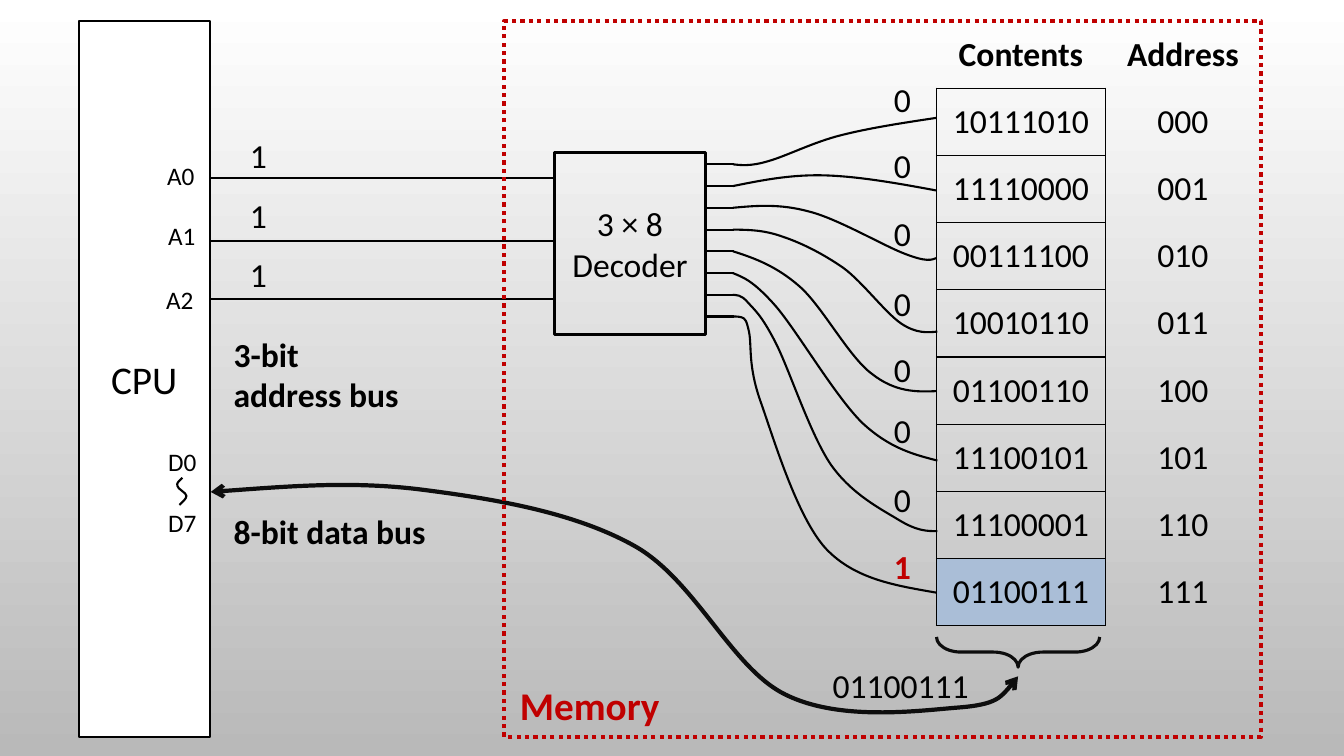
"""Build a slide on how a CPU reads a memory cell through a decoder."""
import pptx
import pptx.util
import pptx.dml.color
import pptx.enum.dml
import pptx.enum.shapes
import pptx.enum.text
import pptx.oxml.ns
from lxml import etree

Pt = pptx.util.Pt
qn = pptx.oxml.ns.qn
KIND = pptx.enum.shapes.MSO_SHAPE
ALIGN = pptx.enum.text.PP_ALIGN
ANCHOR = pptx.enum.text.MSO_ANCHOR

HUES = {"black": "000000", "ink": "0D0D0D", "red": "C00000", "white": "FFFFFF",
        "gray": "B9B9B9", "blue": "AABED7"}
HEADS = ("Contents", "Address")
CELLS = ("10111010", "11110000", "00111100", "10010110",
         "01100110", "11100101", "11100001", "01100111")
BITS = ((52.6, "0"), (100.1, "0"), (148.3, "0"), (198.7, "0"),
        (245.5, "0"), (289.4, "0"), (338.4, "0"), (386.6, "1"))
PINS = (("A0", 112.3, 110.9, 127.4), ("A1", 113, 154.1, 172.1), ("A2", 111.6, 199.4, 213.8))
WIRES = (
    ((529, 118), (536, 119), (548.6, 115.2), (561.6, 111.6), (581, 101.5), (601.2, 96.5),
     (621.4, 91.4), (645, 87.8), (669, 84.2)),
    ((543.6, 128.9), (564.5, 124.6), (589, 125.3), (613.4, 126), (641.5, 131), (669, 136.1)),
    ((540, 146.9), (557.3, 145.4), (578.2, 151.2), (598.3, 156.2), (631.4, 175.7),
     (646.6, 181.4), (661.7, 187.2), (665.3, 185.8), (669, 184.3)),
    ((535, 164.2), (545.8, 164.2), (559.4, 169.2), (572.4, 173.5), (588.2, 181.4),
     (602.6, 191.5), (616.3, 201.6), (632.2, 223.2), (643.7, 231.1), (654.5, 238.3),
     (662.4, 237.6), (669.6, 236.9)),
    ((538.6, 184.3), (554.4, 190), (571, 204.5), (587.5, 218.9), (606.2, 254.9),
     (622.8, 267.1), (639.4, 280.1), (654.5, 280.1), (669, 279.4)),
    ((530.6, 198), (537.8, 200.2), (553.7, 218.2), (568.8, 235.4), (596.9, 283.7),
     (616.3, 302.4), (635.8, 320.4), (653, 324.7), (669.6, 329)),
    ((526.3, 211), (529.2, 210.2), (534.2, 216), (539.3, 221.8), (543.6, 224.6),
     (553.7, 244.1), (563.8, 263.5), (578.9, 311), (594, 332.6), (609.1, 353.5),
     (629.3, 363.6), (642.2, 371.5), (655.2, 379.4), (662.4, 379.4), (669.6, 379.4)),
    ((526.3, 226.1), (529.2, 226.1), (531.4, 227.5), (532.8, 229.7), (532.8, 227.5),
     (535, 236.9), (537.1, 247), (534.2, 260.6), (542.9, 285.8), (552.2, 311.8),
     (568.8, 368.6), (589.7, 391.7), (610.6, 414), (640.1, 418.3), (669, 423.4)),
)
BUS = ((727.2, 483.1), (720, 493.2), (712.1, 503.3), (684.7, 505.4), (656.6, 507.6),
       (599.8, 515.5), (560.9, 496.1), (522.7, 477.4), (496.8, 414.7), (453.6, 390.2),
       (410.4, 365.8), (352.8, 356.4), (302.4, 349.9), (252, 343.4), (200.9, 347.8),
       (150.5, 351.4))
WAVE = ((130.3, 341.3), (128.2, 343.4), (126, 344.9), (126.7, 347), (126.7, 349.2),
        (133.2, 352.1), (133.2, 354.2), (133.2, 356.4), (130.3, 358.6), (128.2, 360.7))


def tint(name):
    return pptx.dml.color.RGBColor.from_string(HUES[name])


def write(frame, text, size=24, hue="black", bold=False, align=ALIGN.LEFT, gap=0):
    for row, line in enumerate(text.split("\n")):
        para = frame.paragraphs[0] if row == 0 else frame.add_paragraph()
        para.alignment = align
        if row and gap:
            para.space_before = Pt(gap)
        run = para.add_run()
        run.text = line
        font = run.font
        font.name, font.size, font.bold = "Calibri", Pt(size), bold
        font.color.rgb = tint(hue)


def label(text, x, y, w, h, **form):
    frame = shapes.add_textbox(Pt(x), Pt(y), Pt(w), Pt(h)).text_frame
    frame.word_wrap = False
    frame.auto_size = pptx.enum.text.MSO_AUTO_SIZE.SHAPE_TO_FIT_TEXT
    write(frame, text, **form)


def stroke(item, width, hue="black"):
    item.line.color.rgb = tint(hue)
    item.line.width = Pt(width)


def block(kind, x, y, w, h, width, hue="black", fill=None):
    item = shapes.add_shape(kind, Pt(x), Pt(y), Pt(w), Pt(h))
    item.shadow.inherit = False
    if fill:
        item.fill.solid()
        item.fill.fore_color.rgb = tint(fill)
    else:
        item.fill.background()
    stroke(item, width, hue)
    item.text_frame.vertical_anchor = ANCHOR.MIDDLE
    return item


def wire(x, end, y):
    item = shapes.add_connector(pptx.enum.shapes.MSO_CONNECTOR.STRAIGHT,
                                Pt(x), Pt(y), Pt(end), Pt(y))
    stroke(item, 1.5)
    etree.SubElement(item._element.spPr, qn("a:effectLst"))


def curve(spots, width=1.5, hue="black"):
    spots = [(Pt(x), Pt(y)) for x, y in spots]
    pen = shapes.build_freeform(*spots[0], scale=1.0)
    pen.add_line_segments(spots[1:], close=False)
    item = pen.convert_to_shape()
    item.shadow.inherit = False
    item.fill.background()
    stroke(item, width, hue)
    lines = item._element.xpath(".//a:lnTo")
    for first in range(0, len(lines), 3):
        bend = lines[first].makeelement(qn("a:cubicBezTo"))
        lines[first].addprevious(bend)
        for line in lines[first:first + 3]:
            bend.append(line[0])
            line.getparent().remove(line)
    return item


def edge(cell, sides):
    props = cell._tc.get_or_add_tcPr()
    for spot, side in enumerate("LRTB"):
        line = props.makeelement(qn("a:ln" + side), {"w": str(Pt(1))})
        props.insert(spot, line)
        if side in sides:
            fill = etree.SubElement(line, qn("a:solidFill"))
            etree.SubElement(fill, qn("a:srgbClr"), val=HUES["black"])
        else:
            etree.SubElement(line, qn("a:noFill"))


def grid():
    rows = [HEADS] + [(bits, f"{spot:03b}") for spot, bits in enumerate(CELLS)]
    table = shapes.add_table(len(rows), 2, Pt(668.9), Pt(15.1), Pt(231.4), Pt(432)).table
    table.first_row = table.horz_banding = False
    table.columns[0].width, table.columns[1].width = Pt(120.7), Pt(110.7)
    for r, row in enumerate(rows):
        table.rows[r].height = Pt(48)
        for c, text in enumerate(row):
            cell = table.cell(r, c)
            cell.vertical_anchor = ANCHOR.MIDDLE
            if text == CELLS[-1]:
                cell.fill.solid()
                cell.fill.fore_color.rgb = tint("blue")
            else:
                cell.fill.background()
            edge(cell, (("B", ""), ("LRTB", "L"))[r > 0][c])
            write(cell.text_frame, text, bold=r == 0, align=ALIGN.CENTER)


deck = pptx.Presentation()
deck.slide_width, deck.slide_height = Pt(960), Pt(540)
slide = deck.slides.add_slide(deck.slide_layouts[6])
shapes = slide.shapes
back = slide.background.fill
back.gradient()
back.gradient_angle = 270
for stop, hue in zip(back.gradient_stops, ("white", "gray")):
    stop.color.rgb = tint(hue)

cpu = block(KIND.RECTANGLE, 56.2, 15.1, 93.6, 511.2, 1.25, fill="white")
write(cpu.text_frame, "CPU", size=28, align=ALIGN.CENTER)
grid()
coder = block(KIND.RECTANGLE, 396, 108.7, 108, 130.3, 2.25)
write(coder.text_frame, "3 × 8\nDecoder", align=ALIGN.CENTER)
brace = block(KIND.RIGHT_BRACE, 716.4, 407.5, 21.6, 116.6, 2.25, hue="ink")
brace.rotation = 90
brace.adjustments[0] = 0.81
brace.adjustments[1] = 0.5

for spot, bends in enumerate(WIRES):
    y = 117.4 + 15.53 * spot
    wire(504, 524, y)
    curve(((523.5, y),) + bends)
for y, bit in BITS:
    live = bit == "1"
    label(bit, 631.4, y, 28.1, 36, hue="red" if live else "black", bold=live)
for spot, (name, x, top, y) in enumerate(PINS):
    wire(150, 396, y)
    label(name, x, top, 35.3, 28.8, size=18)
    label("1", 171.4, 92.9 + 42.5 * spot, 28.1, 36)

bus = curve(BUS, 3, "ink")
for end in ("headEnd", "tailEnd"):
    etree.SubElement(bus.line._get_or_add_ln(), qn("a:" + end), type="arrow")
label("8-bit data bus", 159.8, 361.4, 157, 36, bold=True)
label("3-bit\naddress bus", 159.8, 234.7, 135.4, 65.5, bold=True)
memory = block(KIND.RECTANGLE, 360, 15.1, 540.7, 511.2, 3, hue="red")
memory.line.dash_style = pptx.enum.dml.MSO_LINE.ROUND_DOT
label("Memory", 364.3, 483.1, 119.5, 41, size=28, hue="red", bold=True)
label("D0\nD7", 113, 315.4, 35.3, 72.7, size=18, gap=22)
curve(WAVE)
label("01100111", 582.5, 471.6, 121.7, 36, align=ALIGN.CENTER)

deck.save("out.pptx")
